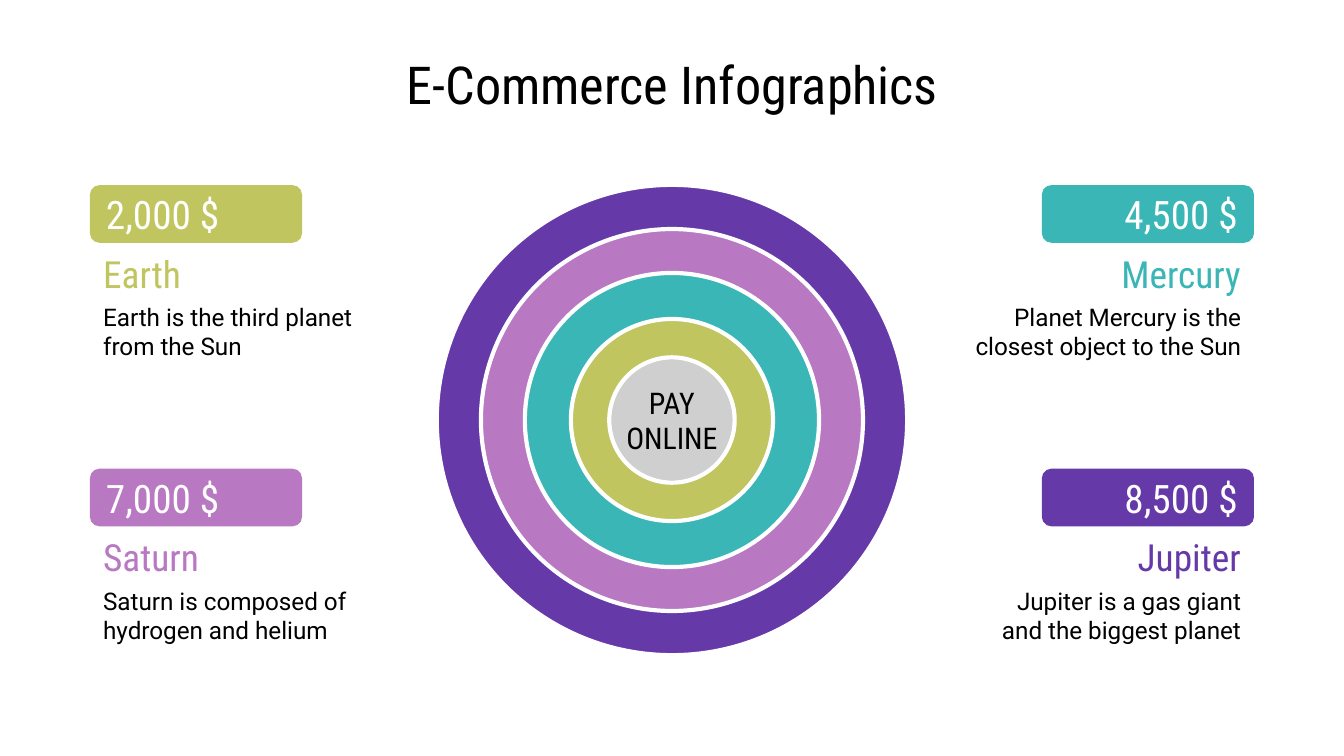
from copy import deepcopy
from dataclasses import dataclass

from pptx import Presentation
from pptx.dml.color import RGBColor
from pptx.enum.shapes import MSO_SHAPE
from pptx.enum.text import MSO_ANCHOR, PP_ALIGN
from pptx.oxml.ns import qn
from pptx.util import Cm, Pt

OVAL, ROUNDED = MSO_SHAPE.OVAL, MSO_SHAPE.ROUNDED_RECTANGLE
MIDDLE = MSO_ANCHOR.MIDDLE
LEFT, CENTER, RIGHT = PP_ALIGN.LEFT, PP_ALIGN.CENTER, PP_ALIGN.RIGHT


@dataclass(frozen=True)
class Theme:
    heading: str = "Roboto Condensed"
    body: str = "Roboto"
    black: str = "000000"
    white: str = "FFFFFF"
    gray: str = "CFCFCF"
    olive: str = "C0C55F"
    teal: str = "39B6B5"
    orchid: str = "B878C2"
    purple: str = "6639A8"
    title_size: float = 28
    badge_size: float = 21
    name_size: float = 20
    core_size: float = 16
    body_size: float = 13
    ring_line: float = 2.25


def write(sp, text, *, font, size, color, align=LEFT):
    """Fill a shape with one formatted, vertically centred paragraph."""
    tf = sp.text_frame
    tf.word_wrap = True
    tf.vertical_anchor = MIDDLE
    tf.margin_left = tf.margin_right = tf.margin_top = tf.margin_bottom = Cm(0.25)
    p = tf.paragraphs[0]
    p.text = text
    p.alignment = align
    for r in p.runs:
        r.font.name = font
        r.font.size = Pt(size)
        r.font.color.rgb = RGBColor.from_string(color)
    # Line breaks take the size of the text around them
    for br in p._p.findall(qn("a:br")):
        br.insert(0, deepcopy(p.runs[0]._r.rPr))


class Canvas:
    def __init__(self, slide, theme):
        self.s = slide
        self.theme = theme

    def shape(self, kind, x, y, w, h, fill):
        sp = self.s.shapes.add_shape(kind, Cm(x), Cm(y), Cm(w), Cm(h))
        sp.shadow.inherit = False
        sp.fill.solid()
        sp.fill.fore_color.rgb = RGBColor.from_string(fill)
        sp.line.fill.background()
        return sp

    def text(self, x, y, w, h, text, **fmt):
        sp = self.s.shapes.add_textbox(Cm(x), Cm(y), Cm(w), Cm(h))
        write(sp, text, **fmt)

    def disc(self, cx, cy, diameter, fill):
        sp = self.shape(OVAL, cx - diameter / 2, cy - diameter / 2, diameter, diameter, fill)
        sp.line.color.rgb = RGBColor.from_string(self.theme.white)
        sp.line.width = Pt(self.theme.ring_line)

    def badge(self, x, y, w, h, text, fill, align):
        sp = self.shape(ROUNDED, x, y, w, h, fill)
        t = self.theme
        write(sp, text, font=t.heading, size=t.badge_size, color=t.white, align=align)

    def card(self, edge, y, amount, name, detail, color, align):
        """Badge, name and detail, flush with the outer edge."""
        t = self.theme
        text_w, badge_w = 5.66, 4.01
        is_right = align == RIGHT
        text_x = edge - text_w if is_right else edge
        badge_x = edge - badge_w if is_right else edge
        self.text(text_x, y + 1.07, text_w, 1.19, name,
                  font=t.heading, size=t.name_size, color=color, align=align)
        self.text(text_x, y + 2.03, text_w, 1.47, detail,
                  font=t.body, size=t.body_size, color=t.black, align=align)
        self.badge(badge_x, y, badge_w, 1.09, amount, color, align)


def main():
    theme = Theme()
    prs = Presentation()
    prs.slide_width, prs.slide_height = Cm(25.4), Cm(14.29)
    canvas = Canvas(prs.slides.add_slide(prs.slide_layouts[6]), theme)

    # Title
    canvas.text(6.99, 1.14, 11.43, 0.89, "E-Commerce Infographics",
                font=theme.heading, size=theme.title_size, color=theme.black, align=CENTER)

    # Concentric rings, largest first
    cx, cy, core = 12.7, 7.94, 2.37
    rings = [(8.89, theme.purple), (7.22, theme.orchid), (5.56, theme.teal),
             (3.82, theme.olive), (core, theme.gray)]
    for diameter, color in rings:
        canvas.disc(cx, cy, diameter, color)
    canvas.text(cx - core / 2, cy - core / 2, core, core, "PAY ONLINE",
                font=theme.heading, size=theme.core_size, color=theme.black, align=CENTER)

    # Planet cards in the four corners
    left, right = 1.7, 23.7
    top, bottom = 3.5, 8.86
    cards = [
        (left, top, "2,000 $", "Earth",
         "Earth is the third planet from the Sun", theme.olive, LEFT),
        (left, bottom, "7,000 $", "Saturn",
         "Saturn is composed of hydrogen and helium", theme.orchid, LEFT),
        (right, top, "4,500 $", "Mercury",
         "Planet Mercury is the closest object to the Sun", theme.teal, RIGHT),
        (right, bottom, "8,500 $", "Jupiter",
         "Jupiter is a gas giant\nand the biggest planet", theme.purple, RIGHT),
    ]
    for card in cards:
        canvas.card(*card)

    prs.save("out.pptx")


if __name__ == "__main__":
    main()
